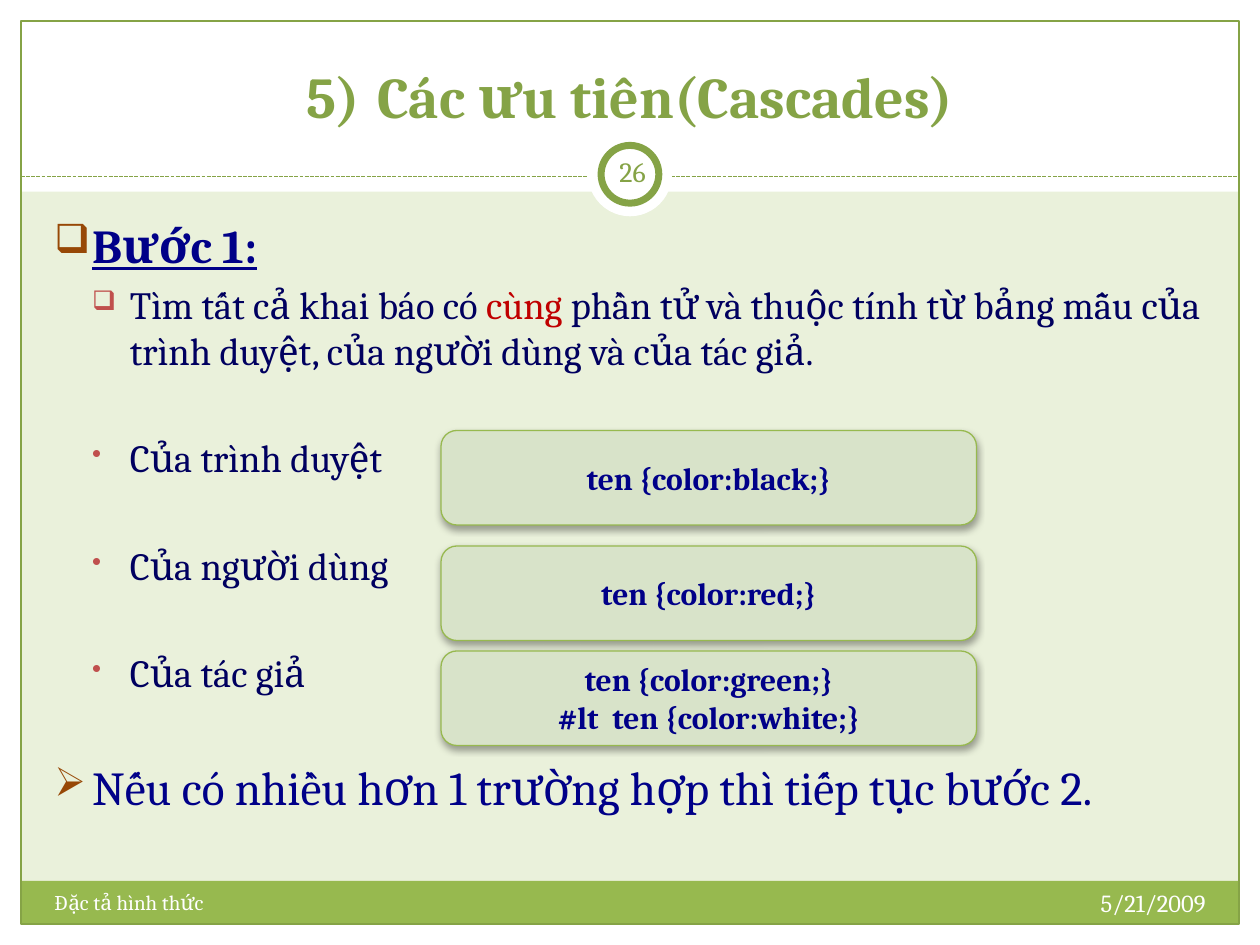
from dataclasses import dataclass

from lxml.etree import SubElement
from pptx import Presentation
from pptx.dml.color import RGBColor
from pptx.enum.dml import MSO_LINE_DASH_STYLE as Dash
from pptx.enum.shapes import MSO_CONNECTOR as Connector, MSO_SHAPE as Preset
from pptx.enum.text import MSO_ANCHOR as Anchor, PP_ALIGN as Align
from pptx.oxml.ns import qn
from pptx.util import Inches, Pt

COLUMNS, ROWS = 120, 90
UNIT = Inches(10) / COLUMNS


@dataclass(frozen=True)
class Theme:
    font: str = "Cambria"
    paper: str = "EAF1DB"
    white: str = "FFFFFF"
    green: str = "97B94F"
    dark_green: str = "85A346"
    rule_fill: str = "D8E3C9"
    navy: str = "000088"
    deep_navy: str = "00005F"
    red: str = "C00000"
    main_bullet: str = "974806"
    sub_bullet: str = "C0504D"
    title: int = 33
    step: int = 27
    detail: int = 22
    code: int = 18
    number: int = 16
    date: int = 14
    footer: int = 12


THEME = Theme()


def grid(*cells):
    return [round(cell * UNIT) for cell in cells]


def add_child(parent, tag, **values):
    return SubElement(parent, qn(tag), {key: str(value) for key, value in values.items()})


def set_all(target, values):
    for key, value in values.items():
        setattr(target, key, value)


def paint(color_format, color):
    color_format.rgb = RGBColor.from_string(color)


def add_block(slide, cells, fill=None, line=None, weight=0.75, preset=Preset.RECTANGLE):
    block = slide.shapes.add_shape(preset, *grid(*cells))
    block.shadow.inherit = False
    if fill:
        block.fill.solid()
        paint(block.fill.fore_color, fill)
    else:
        block.fill.background()
    if line:
        paint(block.line.color, line)
        block.line.width = Pt(weight)
    else:
        block.line.fill.background()
    return block


def add_divider(slide, row):
    left, y, right = grid(2, row, COLUMNS - 2)
    divider = slide.shapes.add_connector(Connector.STRAIGHT, left, y, right, y)
    paint(divider.line.color, THEME.dark_green)
    set_all(divider.line, {"width": Pt(0.75), "dash_style": Dash.SQUARE_DOT})
    add_child(divider._element.spPr, "a:effectLst")


def add_run(paragraph, text, size, color, **style):
    run = paragraph.add_run()
    run.text = text
    set_all(run.font, {"name": THEME.font, "size": Pt(size), **style})
    paint(run.font.color, color)


def add_label(slide, cells, text, size, color, align=Align.LEFT, frame=None, **style):
    label = slide.shapes.add_textbox(*grid(*cells)).text_frame
    set_all(label, {"word_wrap": True, **(frame or {})})
    paragraph = label.paragraphs[0]
    paragraph.alignment = align
    add_run(paragraph, text, size, color, **style)
    return paragraph


def set_bullet(paragraph, mark, level):
    properties = paragraph._p.get_or_add_pPr()
    set_all(paragraph, {"level": level})
    properties.set("marL", str(Inches(0.3 * (level + 1))))
    properties.set("indent", str(Inches(-0.3)))
    tint, share = [(THEME.main_bullet, 85000), (THEME.sub_bullet, 70000)][level]
    add_child(add_child(properties, "a:buClr"), "a:srgbClr", val=tint)
    add_child(properties, "a:buSzPct", val=share)
    add_child(properties, "a:buChar", char=mark)


def add_steps(slide, cells, steps):
    """Each step is (bullet, level, points before, [(text, colour, style)])."""
    body = slide.shapes.add_textbox(*grid(*cells)).text_frame
    body.word_wrap = True
    for index, (mark, level, before, pieces) in enumerate(steps):
        paragraph = body.add_paragraph() if index else body.paragraphs[0]
        set_bullet(paragraph, mark, level)
        if before:
            paragraph.space_before = Pt(before)
        for text, color, style in pieces:
            add_run(paragraph, text, (THEME.step, THEME.detail)[level], color, **style)


def add_css_rule(slide, row, lines):
    card = add_block(slide, (42, row, 51, 9), THEME.rule_fill, THEME.green,
                     preset=Preset.ROUNDED_RECTANGLE)
    shadow = add_child(card._element.spPr.find(qn("a:effectLst")), "a:outerShdw",
                       blurRad=Pt(4), dist=Pt(2), dir=90 * 60000, rotWithShape=0)
    add_child(add_child(shadow, "a:srgbClr", val="000000"), "a:alpha", val=35000)
    frame = card.text_frame
    set_all(frame, {"word_wrap": True, "vertical_anchor": Anchor.MIDDLE})
    for index, line in enumerate(lines):
        paragraph = frame.add_paragraph() if index else frame.paragraphs[0]
        paragraph.alignment = Align.CENTER
        add_run(paragraph, line, THEME.code, THEME.navy, bold=True)


def add_frame(slide):
    slide.background.fill.solid()
    paint(slide.background.fill.fore_color, THEME.paper)
    for margin in [(0, 88, COLUMNS, 2), (0, 0, COLUMNS, 18.25),
                   (0, 0, 2, ROWS), (118, 0, 2, ROWS)]:
        add_block(slide, margin, THEME.white)
    add_block(slide, (2, 83.9, 116, 4.1), THEME.green)
    add_block(slide, (2, 2, 116, 86), line=THEME.dark_green)
    add_divider(slide, 16.8)
    add_block(slide, (56, 12.6, 8, 8), THEME.white, preset=Preset.OVAL)
    add_block(slide, (57.25, 13.85, 5.5, 5.5), THEME.white, THEME.dark_green, 4, Preset.OVAL)


def add_title(slide, text, number):
    title = add_label(slide, (4, 3, 112, 10), text, THEME.title, THEME.dark_green,
                      Align.CENTER, {"vertical_anchor": Anchor.BOTTOM}, bold=True)
    properties = title._p.get_or_add_pPr()
    properties.set("marL", str(Inches(0.56)))
    properties.set("indent", str(Inches(-0.56)))
    add_child(properties, "a:buAutoNum", type="arabicParenR", startAt=number)


def add_footer(slide):
    add_label(slide, (76, 84, 40, 4.8), "5/21/2009", THEME.date, THEME.white, Align.RIGHT)
    add_label(slide, (4, 84.1, 47, 4.8), "Đặc tả hình thức", THEME.footer, THEME.white)
    sides = ("left", "right", "top", "bottom")
    tight = {f"margin_{side}": Inches(0.05) for side in sides}
    add_label(slide, (57.25, 13.45, 6, 5.75), "26", THEME.number, THEME.dark_green,
              Align.CENTER, {"vertical_anchor": Anchor.MIDDLE, **tight})


def main():
    deck = Presentation()
    set_all(deck, {"slide_width": round(COLUMNS * UNIT), "slide_height": round(ROWS * UNIT)})
    slide = deck.slides.add_slide(deck.slide_layouts[6])
    add_frame(slide)
    add_title(slide, "Các ưu tiên(Cascades)", 5)
    add_footer(slide)

    sources = ["Của trình duyệt", "Của người dùng", "Của tác giả"]
    add_steps(slide, (4, 20, 111.6, 60), [
        ("❑", 0, 0, [("Bước 1:", THEME.navy, {"bold": True, "underline": True})]),
        ("❑", 1, 4.4, [
            ("Tìm tất cả khai báo có ", THEME.deep_navy, {}),
            ("cùng", THEME.red, {}),
            (" phần tử và thuộc tính từ bảng mẫu của trình duyệt, "
             "của người dùng và của tác giả.", THEME.deep_navy, {}),
        ]),
        *[("•", 1, 35, [(source, THEME.deep_navy, {})]) for source in sources],
        ("➢", 0, 36, [("Nếu có nhiều hơn 1 trường hợp thì tiếp tục bước 2.", THEME.navy, {})]),
    ])
    for row, lines in [(41, ["ten {color:black;}"]),
                       (52, ["ten {color:red;}"]),
                       (62, ["ten {color:green;}", "#lt  ten {color:white;}"])]:
        add_css_rule(slide, row, lines)
    deck.save("out.pptx")


if __name__ == "__main__":
    main()
